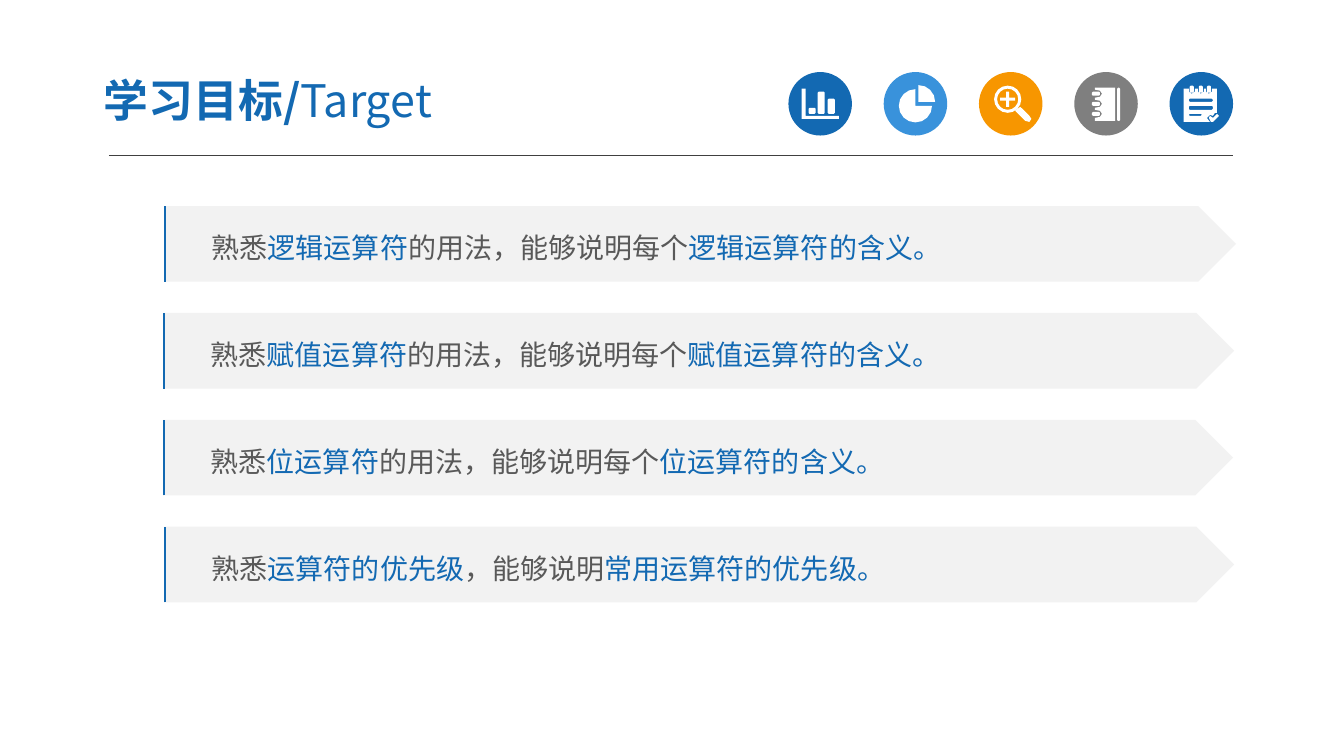
from math import cos, pi, sin
from lxml.etree import SubElement
from pptx import Presentation
from pptx.dml.color import RGBColor
from pptx.enum.shapes import MSO_CONNECTOR, MSO_SHAPE
from pptx.enum.text import MSO_ANCHOR, MSO_AUTO_SIZE, PP_ALIGN
from pptx.oxml.ns import qn
from pptx.util import Inches, Pt

FONT = "Noto Sans CJK SC"
BLUE, SKY, ORANGE, GRAY = "1369B2", "3992DB", "F79600", "7F7F7F"
WHITE, PALE, DARK, RULE = "FFFFFF", "F2F2F2", "595959", "404040"


def paint(shape, color):
    shape.shadow.inherit = False
    shape.fill.solid()
    shape.fill.fore_color.rgb = RGBColor.from_string(color)
    shape.line.fill.background()


def write(para, text, size=20, color=DARK, bold=False):
    span = para.add_run()
    span.text = text
    span.font.size = Pt(size)
    span.font.bold = bold
    span.font.color.rgb = RGBColor.from_string(color)
    span.font.name = FONT
    SubElement(span._r.get_or_add_rPr(), qn("a:ea"), typeface=FONT)


deck = Presentation()
deck.slide_width, deck.slide_height = Inches(13.33), Inches(7.5)
page = deck.slides.add_slide(deck.slide_layouts[5])

title = page.shapes.title
title.left, title.top = Inches(0.9), Inches(0.63)
title.width, title.height = Inches(5.22), Inches(0.72)
frame = title.text_frame
frame.word_wrap = True
frame.auto_size = MSO_AUTO_SIZE.NONE
frame.vertical_anchor = MSO_ANCHOR.MIDDLE
frame.margin_left = frame.margin_right = Inches(0.13)
frame.margin_top = frame.margin_bottom = Inches(0.07)
para = frame.paragraphs[0]
para.alignment = PP_ALIGN.LEFT
para.space_before = Pt(6)
write(para, "学习目标/", size=32, color=BLUE, bold=True)
write(para, "Target", size=32, color=BLUE)

rule = page.shapes.add_connector(
    MSO_CONNECTOR.STRAIGHT, Inches(1.08), Inches(1.54), Inches(12.23), Inches(1.54))
rule.line.color.rgb = RGBColor.from_string(RULE)
rule.line.width = Pt(0.75)
SubElement(rule._element.spPr, qn("a:effectLst"))

circle = [(cos(step * pi / 8), sin(step * pi / 8)) for step in range(17)]

chart_bars = [(8.02, 1.07, 0.07, 0.06), (8.11, 0.91, 0.07, 0.22), (8.21, 0.98, 0.07, 0.15)]
chart_outlines = [
    [(7.95, 0.88), (7.99, 0.88), (7.99, 1.15), (8.32, 1.15), (8.32, 1.18), (7.95, 1.18)],
]

pie_outlines = [
    [(9.08, 1.05)] + [(9.08 + 0.165 * x, 1.05 + 0.165 * y) for x, y in circle[:13]],
    [(9.11, 1.01)] + [(9.11 + 0.165 * x, 1.01 + 0.165 * y) for x, y in circle[12:]],
]

zoom_outlines = [
    [(9.995 + radius * x, 0.985 + radius * y) for x, y in circle[:16]]
    for radius in (0.135, 0.105)
]
zoom_outlines += [
    [(10.07, 1.1), (10.12, 1.06), (10.21, 1.15), (10.23, 1.18), (10.21, 1.21), (10.17, 1.2)],
    [(9.98, 0.91), (10.01, 0.91), (10.01, 0.97), (10.07, 0.97), (10.07, 1), (10.01, 1),
     (10.01, 1.06), (9.98, 1.06), (9.98, 1), (9.92, 1), (9.92, 0.97), (9.98, 0.97)],
]

notebook_bars = [(11.08, 0.87, 0.03, 0.33)]
cover = [(10.86, 0.87), (11.06, 0.87), (11.06, 1.2), (10.86, 1.2)]
for y in (1.13, 1.03, 0.93):
    notebook_bars.append((10.83, y - 0.02, 0.08, 0.04))
    cover += [(10.86, y + 0.04), (10.91, y + 0.03), (10.93, y), (10.91, y - 0.03), (10.86, y - 0.04)]

notepad_bars = [(11.79, 0.98, 0.24, 0.03), (11.79, 1.05, 0.24, 0.04), (11.79, 1.13, 0.13, 0.02)]
sheet = [(12.07, 0.88), (12.07, 1.12), (12.05, 1.12), (12.03, 1.15), (12, 1.14),
         (11.97, 1.17), (12, 1.21), (11.74, 1.21), (11.74, 0.88)]
for x in (11.82, 11.91, 11.99):
    notepad_bars.append((x - 0.02, 0.85, 0.04, 0.07))
    sheet += [(x - 0.03, 0.88), (x - 0.03, 0.91), (x, 0.93), (x + 0.03, 0.91), (x + 0.03, 0.88)]
tick = [(11.99, 1.17), (12, 1.15), (12.03, 1.17), (12.07, 1.13), (12.09, 1.15), (12.03, 1.21), (12.01, 1.21)]

icons = [
    (BLUE, chart_outlines, chart_bars),
    (SKY, pie_outlines, []),
    (ORANGE, zoom_outlines, []),
    (GRAY, [cover], notebook_bars),
    (BLUE, [sheet, tick], notepad_bars),
]
for index, (color, outlines, bars) in enumerate(icons):
    disc = page.shapes.add_shape(
        MSO_SHAPE.OVAL, Inches(7.82 + 0.945 * index), Inches(0.715), Inches(0.63), Inches(0.63))
    paint(disc, color)
    rounded = [
        [(x + 0.01, y), (x + w - 0.01, y), (x + w, y + 0.01), (x + w, y + h - 0.01),
         (x + w - 0.01, y + h), (x + 0.01, y + h), (x, y + h - 0.01), (x, y + 0.01)]
        for x, y, w, h in bars
    ]
    builder = page.shapes.build_freeform()
    builder = None
    for outline in outlines + rounded:
        points = [(Inches(x), Inches(y)) for x, y in outline]
        if builder is None:
            builder = page.shapes.build_freeform(*points[0])
        else:
            builder.move_to(*points[0])
        builder.add_line_segments(points[1:], close=True)
    paint(builder.convert_to_shape(), WHITE)

goals = [
    (1.63, 10.63, "逻辑运算符", "的用法，能够说明每个", "逻辑运算符的含义。"),
    (1.62, 10.62, "赋值运算符", "的用法，能够说明每个", "赋值运算符的含义。"),
    (1.62, 10.61, "位运算符", "的用法，能够说明每个", "位运算符的含义。"),
    (1.63, 10.61, "运算符的优先级", "，能够说明", "常用运算符的优先级。"),
]
for index, (left, width, topic, link, result) in enumerate(goals):
    top = 2.045 + 1.06 * index
    banner = page.shapes.add_shape(
        MSO_SHAPE.PENTAGON, Inches(left), Inches(top), Inches(width), Inches(0.75))
    paint(banner, PALE)
    frame = banner.text_frame
    frame.word_wrap = True
    frame.vertical_anchor = MSO_ANCHOR.MIDDLE
    frame.margin_left = Inches(0.47)
    para = frame.paragraphs[0]
    para.alignment = PP_ALIGN.LEFT
    para.line_spacing = 1.2
    write(para, "熟悉")
    write(para, topic, color=BLUE)
    write(para, link)
    write(para, result, color=BLUE)

    edge = page.shapes.build_freeform(Inches(left + 0.17), Inches(top))
    edge.move_to(Inches(left + 0.01), Inches(top + 0.75))
    edge.add_line_segments([(Inches(left + 0.01), Inches(top))], close=False)
    accent = edge.convert_to_shape()
    accent.shadow.inherit = False
    accent.fill.background()
    accent.line.color.rgb = RGBColor.from_string(BLUE)
    accent.line.width = Pt(1.5)

deck.save("out.pptx")
